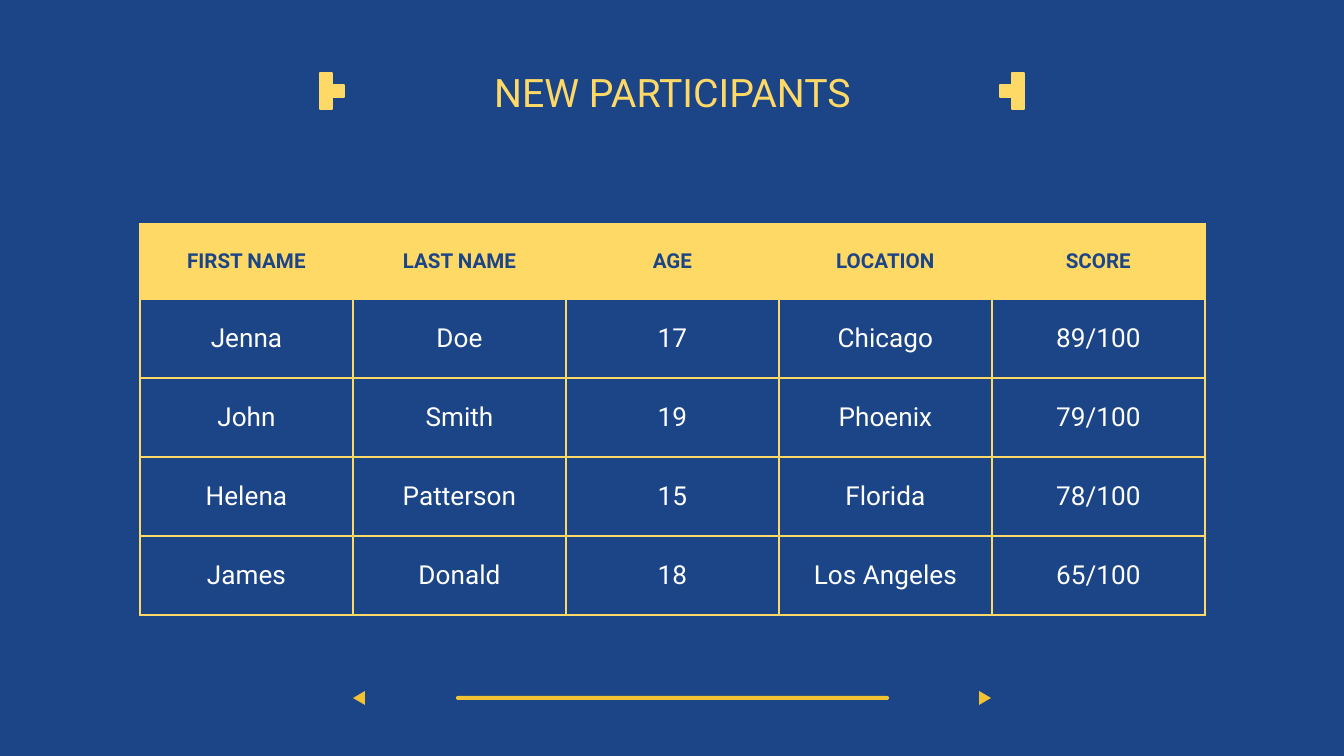
from dataclasses import dataclass

import lxml.etree
import pptx
import pptx.dml.color
import pptx.enum.shapes
import pptx.enum.text
import pptx.oxml.ns
import pptx.util

EMU_PER_PX = 914400 / 134.4
SLIDE_WIDTH, SLIDE_HEIGHT = 1344, 756
FONT = "Roboto"
BLUE, YELLOW, AMBER, WHITE = "1C4587", "FFD966", "F1C232", "FFFFFF"
MSO_SHAPE = pptx.enum.shapes.MSO_SHAPE
INSET = 13

TABLE_LEFT, TABLE_TOP = 140, 224
COLUMN_WIDTH, HEADER_HEIGHT, ROW_HEIGHT = 213, 75, 79
PARTICIPANTS = [
    ("FIRST NAME", "LAST NAME", "AGE", "LOCATION", "SCORE"),
    ("Jenna", "Doe", "17", "Chicago", "89/100"),
    ("John", "Smith", "19", "Phoenix", "79/100"),
    ("Helena", "Patterson", "15", "Florida", "78/100"),
    ("James", "Donald", "18", "Los Angeles", "65/100"),
]


@dataclass(frozen=True)
class NavigationShape:
    kind: int
    left: int
    top: int
    width: int
    height: int
    rotation: int = 0


@dataclass(frozen=True)
class PixelMarker:
    """Three stacked squares with a fourth beside the middle one."""
    left: int
    top: int
    direction: int


NAVIGATION = [
    NavigationShape(MSO_SHAPE.ROUNDED_RECTANGLE, 456, 696, 433, 4),
    NavigationShape(MSO_SHAPE.ISOSCELES_TRIANGLE, 352, 692, 14, 12, 270),
    NavigationShape(MSO_SHAPE.ISOSCELES_TRIANGLE, 978, 692, 14, 12, 90),
]
MARKERS = [PixelMarker(320, 73, 1), PixelMarker(1012, 73, -1)]
SQUARE = 12


def px(value: int) -> pptx.util.Emu:
    return pptx.util.Emu(round(value * EMU_PER_PX))


def color(value: str) -> pptx.dml.color.RGBColor:
    return pptx.dml.color.RGBColor.from_string(value)


def paint(target, value: str) -> None:
    target.fill.solid()
    target.fill.fore_color.rgb = color(value)


def format_text(text_frame, size: int, value: str, bold: bool = False) -> None:
    paragraph = text_frame.paragraphs[0]
    paragraph.alignment = pptx.enum.text.PP_ALIGN.CENTER
    font = paragraph.runs[0].font
    font.name = FONT
    font.size = pptx.util.Pt(size)
    font.bold = bold
    font.color.rgb = color(value)


def set_margins(target) -> None:
    for side in ("left", "top", "right", "bottom"):
        setattr(target, f"margin_{side}", px(INSET))


def add_title(slide) -> None:
    title = slide.shapes.title
    title.left, title.top, title.width, title.height = px(46), px(43), px(1253), px(85)
    frame = title.text_frame
    frame.text = "NEW PARTICIPANTS"
    frame.auto_size = pptx.enum.text.MSO_AUTO_SIZE.NONE
    frame.vertical_anchor = pptx.enum.text.MSO_ANCHOR.BOTTOM
    set_margins(frame)
    format_text(frame, 21, YELLOW)


def add_borders(cell) -> None:
    properties = cell._tc.get_or_add_tcPr()
    for index, side in enumerate(("lnL", "lnR", "lnT", "lnB")):
        line = lxml.etree.Element(pptx.oxml.ns.qn(f"a:{side}"), w=str(pptx.util.Pt(1.5)))
        fill = lxml.etree.SubElement(line, pptx.oxml.ns.qn("a:solidFill"))
        lxml.etree.SubElement(fill, pptx.oxml.ns.qn("a:srgbClr"), val=YELLOW)
        properties.insert(index, line)


def add_participants_table(slide) -> None:
    row_count, column_count = len(PARTICIPANTS), len(PARTICIPANTS[0])
    height = HEADER_HEIGHT + (row_count - 1) * ROW_HEIGHT
    table = slide.shapes.add_table(
        row_count, column_count, px(TABLE_LEFT), px(TABLE_TOP),
        px(column_count * COLUMN_WIDTH), px(height),
    ).table
    table.horz_banding = False
    for column in table.columns:
        column.width = px(COLUMN_WIDTH)
    for row_index, values in enumerate(PARTICIPANTS):
        is_header = row_index == 0
        table.rows[row_index].height = px(HEADER_HEIGHT if is_header else ROW_HEIGHT)
        for column_index, value in enumerate(values):
            cell = table.cell(row_index, column_index)
            cell.text_frame.text = value
            cell.vertical_anchor = pptx.enum.text.MSO_ANCHOR.MIDDLE
            set_margins(cell)
            if is_header:
                paint(cell, YELLOW)
                format_text(cell.text_frame, 11, BLUE, bold=True)
            else:
                cell.fill.background()
                format_text(cell.text_frame, 14, WHITE)
            add_borders(cell)


def add_navigation_shape(slide, item: NavigationShape) -> None:
    shape = slide.shapes.add_shape(
        item.kind, px(item.left), px(item.top), px(item.width), px(item.height))
    shape.adjustments[0] = 0.5
    shape.rotation = item.rotation
    shape.shadow.inherit = False
    paint(shape, AMBER)
    shape.line.fill.background()


def add_marker(slide, marker: PixelMarker) -> None:
    group = slide.shapes.add_group_shape()
    for column, row in ((0, 0), (0, 1), (0, 2), (marker.direction, 1)):
        square = group.shapes.add_shape(
            MSO_SHAPE.RECTANGLE, px(marker.left + column * SQUARE),
            px(marker.top + row * SQUARE), px(SQUARE), px(SQUARE))
        square.shadow.inherit = False
        paint(square, YELLOW)
        square.line.color.rgb = color(YELLOW)
        square.line.width = pptx.util.Pt(0.75)


def main() -> None:
    presentation = pptx.Presentation()
    presentation.slide_width = px(SLIDE_WIDTH)
    presentation.slide_height = px(SLIDE_HEIGHT)
    slide = presentation.slides.add_slide(presentation.slide_layouts.get_by_name("Title Only"))
    paint(slide.background, BLUE)
    add_title(slide)
    add_participants_table(slide)
    for item in NAVIGATION:
        add_navigation_shape(slide, item)
    for marker in MARKERS:
        add_marker(slide, marker)
    presentation.save("out.pptx")


if __name__ == "__main__":
    main()
